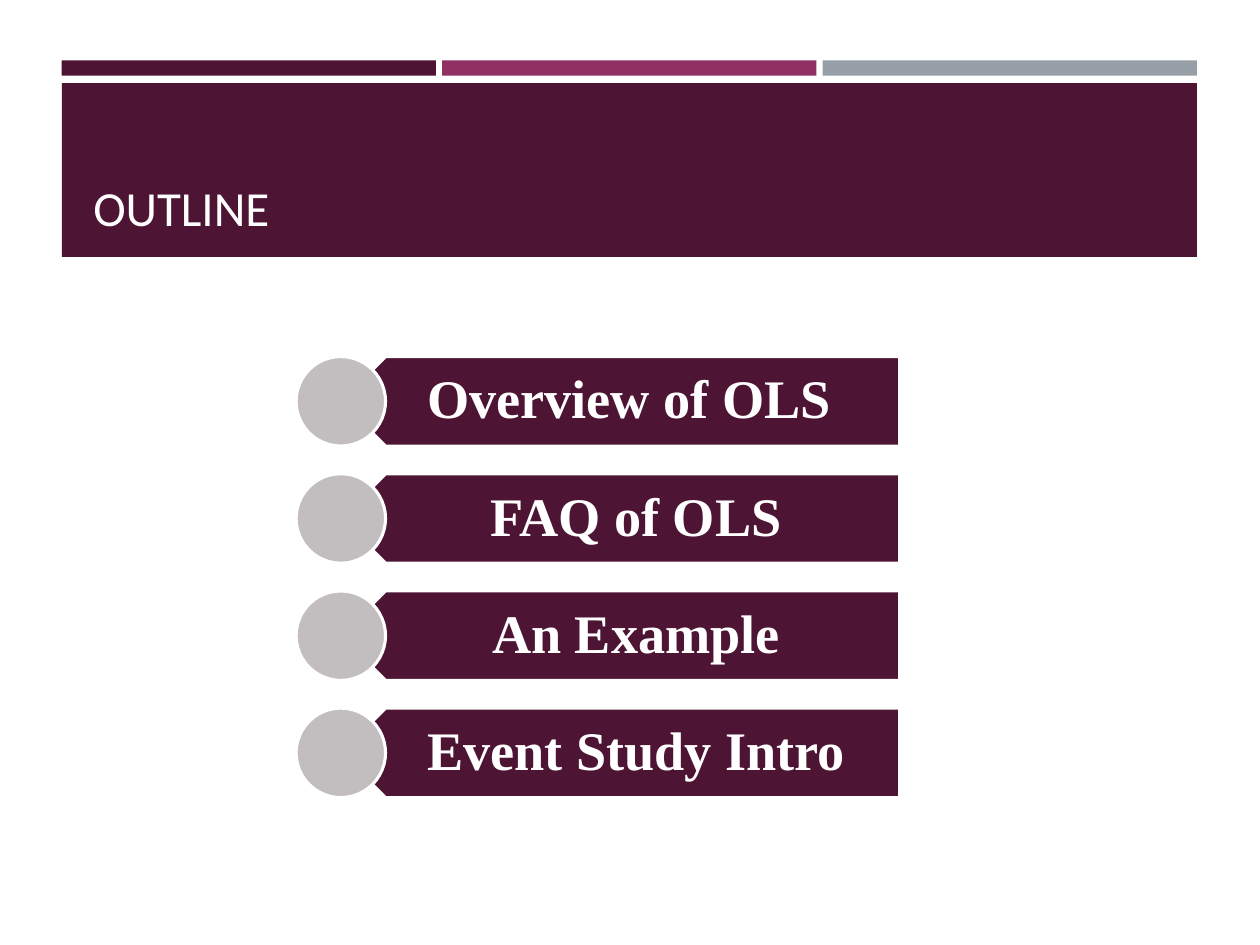
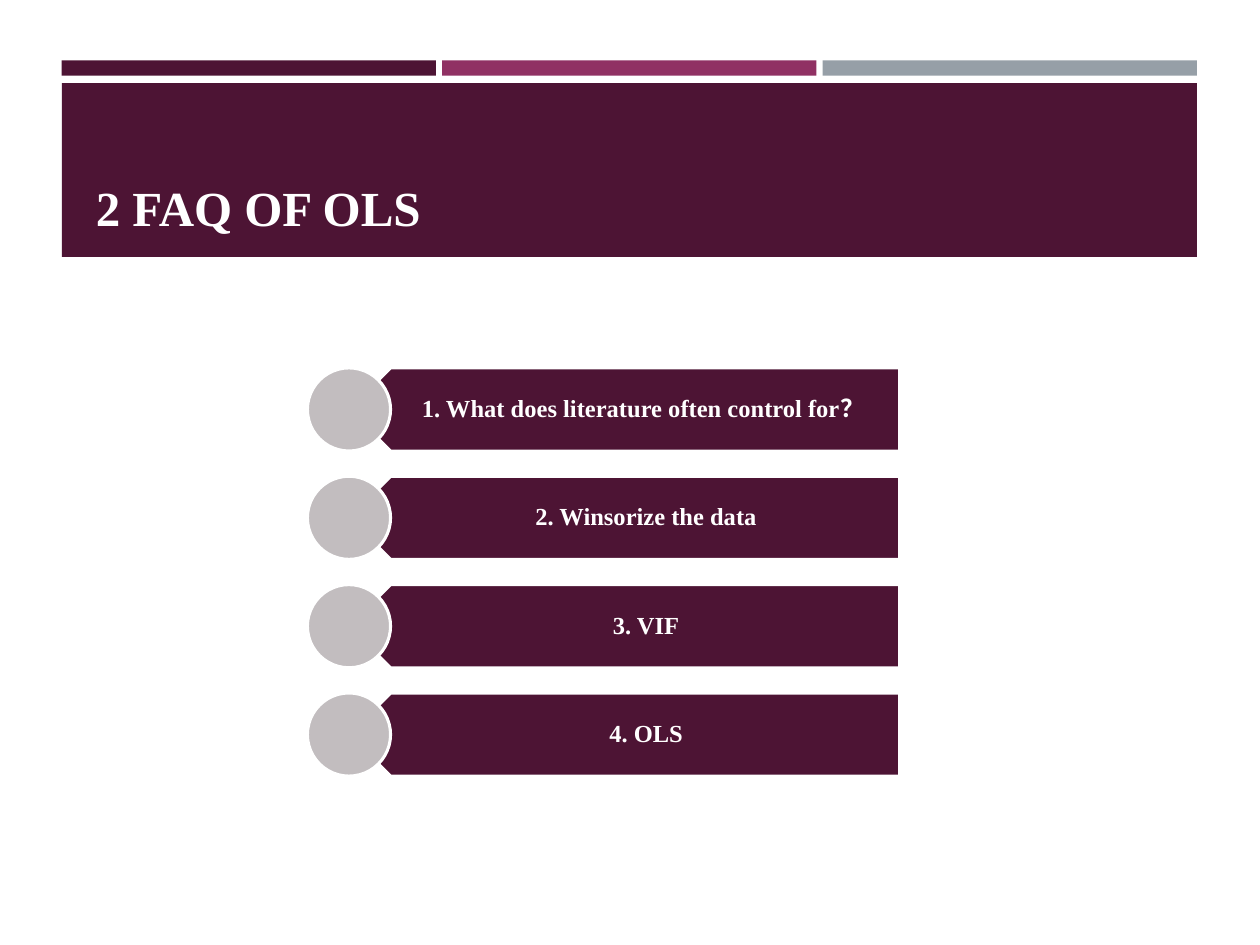
import dataclasses

import pptx
import pptx.dml.color
import pptx.enum.shapes
import pptx.enum.text
import pptx.oxml
import pptx.oxml.ns
import pptx.util

Inches = pptx.util.Inches
Pt = pptx.util.Pt
Shape = pptx.enum.shapes.MSO_SHAPE
Align = pptx.enum.text.PP_ALIGN
Anchor = pptx.enum.text.MSO_ANCHOR

TITLE_ONLY = 5


@dataclasses.dataclass(frozen=True)
class Theme:
    plum: str = "4D1434"
    magenta: str = "903163"
    slate: str = "969FA7"
    circle: str = "C2BDBF"
    white: str = "FFFFFF"
    sans: str = "Calibri"
    serif: str = "Times New Roman"
    title_size: float = 28
    large_size: float = 31
    small_size: float = 14
    outline_width: float = 1.75


@dataclasses.dataclass(frozen=True)
class ListLayout:
    """Geometry of a circle-and-arrow list, in inches."""
    left: float
    top: float
    size: float
    pitch: float
    insets: tuple
    font_size: float
    right: float = 7.14


def color(value):
    return pptx.dml.color.RGBColor.from_string(value)


def write_text(frame, text, *, font, size, fill, bold=False, align=Align.LEFT,
               anchor=Anchor.MIDDLE, line_spacing=None, insets=None):
    frame.word_wrap = True
    frame.auto_size = pptx.enum.text.MSO_AUTO_SIZE.NONE
    frame.vertical_anchor = anchor
    if insets:
        (frame.margin_left, frame.margin_top,
         frame.margin_right, frame.margin_bottom) = map(Inches, insets)
    paragraph = frame.paragraphs[0]
    paragraph.alignment = align
    paragraph.line_spacing = line_spacing
    run = paragraph.add_run()
    run.text = text
    run.font.name = font
    run.font.size = Pt(size)
    run.font.bold = bold
    run.font.color.rgb = color(fill)
    return paragraph


class Deck:
    def __init__(self, theme):
        self.theme = theme
        self.presentation = pptx.Presentation()
        self.presentation.slide_width = Inches(10)
        self.presentation.slide_height = Inches(7.5)
        self.layout = self.presentation.slide_layouts[TITLE_ONLY]
        self.slide = None

    def new_slide(self):
        self.slide = self.presentation.slides.add_slide(self.layout)

    def shape(self, shapes, kind, left, top, width, height, fill, line=None):
        shape = shapes.add_shape(kind, Inches(left), Inches(top), Inches(width), Inches(height))
        shape.shadow.inherit = False
        shape.fill.solid()
        shape.fill.fore_color.rgb = color(fill)
        if line:
            shape.line.color.rgb = color(line)
            shape.line.width = Pt(self.theme.outline_width)
        else:
            shape.line.fill.background()
        return shape

    def layout_bands(self):
        """Draw the bands on the current slide, then move them behind the layout's title."""
        theme = self.theme
        bands = [(0.49, 0.66, 9.01, 1.38, theme.plum)]
        for index, fill in enumerate((theme.plum, theme.magenta, theme.slate)):
            bands.append((0.49 + index * 3.02, 0.48, 2.97, 0.12, fill))
        for index, (*box, fill) in enumerate(bands):
            band = self.shape(self.slide.shapes, Shape.RECTANGLE, *box, fill)
            band.element.xpath(".//p:cNvPr")[0].set("id", str(100 + index))
            self.layout.shapes.element.insert(2 + index, band.element)
        title = self.layout.placeholders[0]
        title.left, title.top = Inches(0.64), Inches(0.75)
        title.width, title.height = Inches(8.74), Inches(1.18)

    def title(self, text, font, **text_format):
        return write_text(self.slide.shapes.title.text_frame, text, font=font,
                          size=self.theme.title_size, fill=self.theme.white,
                          anchor=Anchor.BOTTOM, **text_format)

    def indent(self, paragraph, left, tab):
        properties = paragraph._p.get_or_add_pPr()
        properties.set("marL", str(Inches(left)))
        properties.set("indent", "0")
        properties.append(pptx.oxml.parse_xml(
            f'<a:tabLst {pptx.oxml.ns.nsdecls("a")}>'
            f'<a:tab pos="{Inches(tab)}" algn="l"/></a:tabLst>'))

    def arrow_list(self, items, place):
        theme = self.theme
        shapes = self.slide.shapes.add_group_shape().shapes
        size = place.size
        arrow_left = place.left + size / 2
        text_left = arrow_left + size / 4
        for index, item in enumerate(items):
            top = place.top + index * place.pitch
            arrow = self.shape(shapes, Shape.PENTAGON, arrow_left, top,
                               place.right - arrow_left, size, theme.plum, theme.white)
            arrow.rotation = 180
            label = shapes.add_textbox(Inches(text_left), Inches(top),
                                       Inches(place.right - text_left), Inches(size))
            write_text(label.text_frame, item, font=theme.serif, size=place.font_size,
                       fill=theme.white, bold=True, align=Align.CENTER,
                       line_spacing=0.9, insets=place.insets)
            self.shape(shapes, Shape.OVAL, place.left, top, size, size,
                       theme.circle, theme.white)

    def save(self):
        self.presentation.save("out.pptx")


def outline_slide(deck):
    deck.title("OUTLINE", deck.theme.sans)
    deck.arrow_list(
        ["Overview of OLS ", "FAQ of OLS", "An Example", "Event Study Intro"],
        ListLayout(left=2.35, top=2.83, size=0.71, pitch=0.93,
                   insets=(0.31, 0.13, 0.24, 0.13), font_size=deck.theme.large_size))


def faq_slide(deck):
    title = deck.title("2 FAQ OF OLS", deck.theme.serif, bold=True,
                       align=Align.JUSTIFY, line_spacing=1.15)
    deck.indent(title, left=0.02, tab=0.43)
    deck.arrow_list(
        ["1. What does literature often control for？ ", "2. Winsorize the data",
         "3. VIF", "4. OLS"],
        ListLayout(left=2.44, top=2.92, size=0.66, pitch=0.86,
                   insets=(0.29, 0.06, 0.11, 0.06), font_size=deck.theme.small_size))


def main():
    deck = Deck(Theme())
    deck.new_slide()
    deck.layout_bands()
    outline_slide(deck)
    deck.new_slide()
    faq_slide(deck)
    deck.save()


if __name__ == "__main__":
    main()
